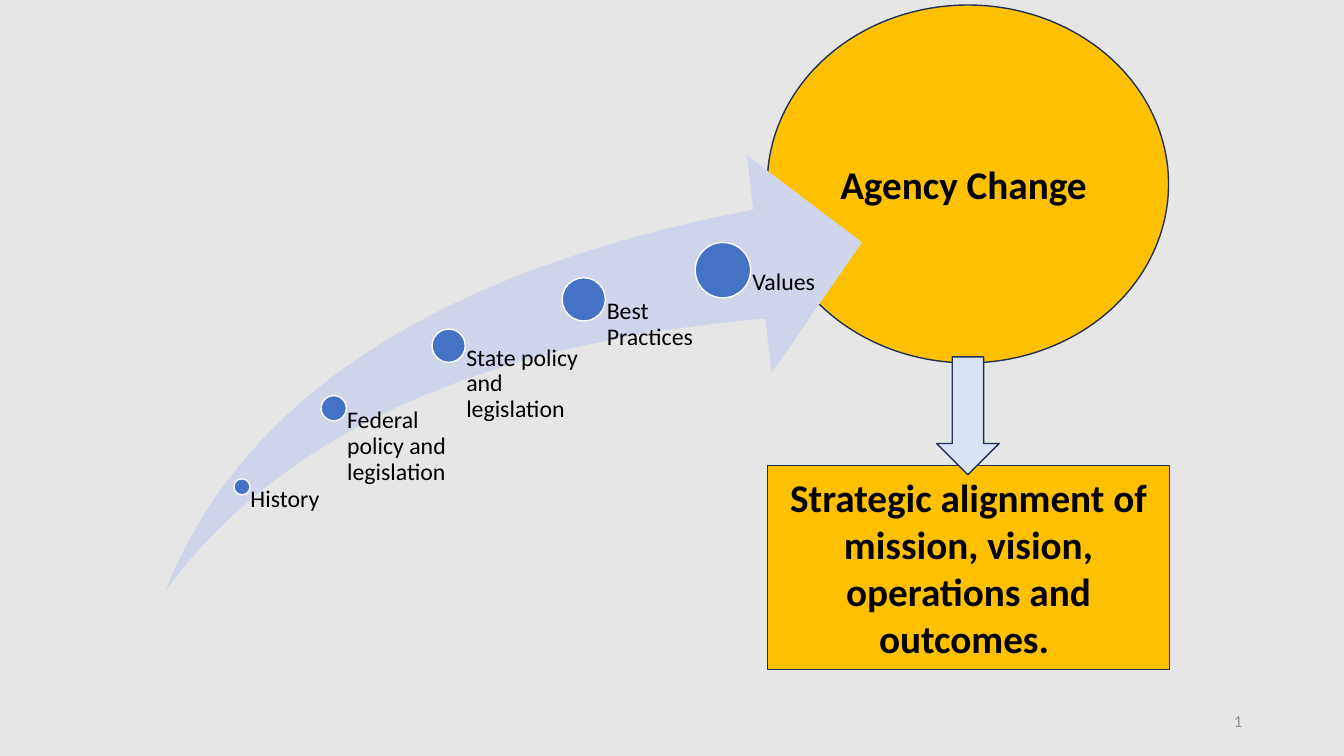
from dataclasses import dataclass

from lxml.etree import SubElement
from pptx import Presentation
from pptx.dml.color import RGBColor
from pptx.enum.shapes import MSO_SHAPE
from pptx.enum.text import MSO_ANCHOR, PP_ALIGN
from pptx.oxml.ns import qn
from pptx.util import Inches, Pt


@dataclass(frozen=True)
class Theme:
    font: str = "Calibri"
    background: str = "E7E6E6"
    accent: str = "FFC000"
    outline: str = "1E3256"
    swoosh: str = "CFD5EA"
    dot: str = "4472C4"
    dot_outline: str = "FFFFFF"
    down_arrow: str = "DAE3F3"
    text: str = "000000"
    muted: str = "8C8C8C"
    heading_size: int = 28
    label_size: int = 17
    number_size: int = 12


class SlideBuilder:
    def __init__(self, slide, theme):
        self.slide = slide
        self.theme = theme
        self.shapes = slide.shapes
        slide.background.fill.solid()
        slide.background.fill.fore_color.rgb = RGBColor.from_string(theme.background)

    def start_group(self):
        """Put the elements that follow into a new group."""
        self.shapes = self.slide.shapes.add_group_shape().shapes

    def end_group(self):
        self.shapes = self.slide.shapes

    def style_font(self, font, size, color, bold=False):
        font.name = self.theme.font
        font.size = Pt(size)
        font.bold = bold
        font.color.rgb = RGBColor.from_string(color)

    def add_shape(self, preset, left, top, width, height, fill, line=None):
        shape = self.shapes.add_shape(
            preset, Inches(left), Inches(top), Inches(width), Inches(height))
        shape.shadow.inherit = False
        shape.fill.solid()
        shape.fill.fore_color.rgb = RGBColor.from_string(fill)
        if line:
            shape.line.color.rgb = RGBColor.from_string(line)
            shape.line.width = Pt(1)
        else:
            shape.line.fill.background()
        return shape

    def add_callout(self, preset, left, top, width, height, text):
        """Add an accent shape with a bold centred statement."""
        shape = self.add_shape(preset, left, top, width, height,
                               self.theme.accent, self.theme.outline)
        frame = shape.text_frame
        frame.word_wrap = True
        frame.vertical_anchor = MSO_ANCHOR.MIDDLE
        frame.text = text
        paragraph = frame.paragraphs[0]
        paragraph.alignment = PP_ALIGN.CENTER
        self.style_font(paragraph.runs[0].font, self.theme.heading_size,
                        self.theme.text, bold=True)

    def add_text_box(self, left, top, width, height):
        box = self.shapes.add_textbox(
            Inches(left), Inches(top), Inches(width), Inches(height))
        box.text_frame.word_wrap = True
        return box.text_frame

    def add_milestone(self, center_x, center_y, diameter, label, label_width, bottom):
        """Add a dot and a label whose box starts at the dot's centre."""
        radius = diameter / 2
        self.add_shape(MSO_SHAPE.OVAL, center_x - radius, center_y - radius,
                       diameter, diameter, self.theme.dot, self.theme.dot_outline)
        frame = self.add_text_box(center_x, center_y, label_width, bottom - center_y)
        frame.margin_left = Inches(0.53 * diameter)
        frame.margin_top = frame.margin_right = frame.margin_bottom = 0
        frame.text = label
        paragraph = frame.paragraphs[0]
        paragraph.line_spacing = 0.9
        self.style_font(paragraph.runs[0].font, self.theme.label_size, self.theme.text)

    def add_slide_number(self, left, top, width, height, number):
        frame = self.add_text_box(left, top, width, height)
        frame.vertical_anchor = MSO_ANCHOR.MIDDLE
        frame.text = str(number)
        paragraph = frame.paragraphs[0]
        paragraph.alignment = PP_ALIGN.RIGHT
        run = paragraph.runs[0]
        self.style_font(run.font, self.theme.number_size, self.theme.muted)
        field = SubElement(paragraph._p, qn("a:fld"), type="slidenum",
                           id="{B6F15528-21DE-4FAA-801E-634DDDAF4B2B}")
        field.extend(list(run._r))
        paragraph._p.remove(run._r)


def main():
    presentation = Presentation()
    presentation.slide_width = Inches(13.33)
    presentation.slide_height = Inches(7.5)
    theme = Theme()
    slide = presentation.slides.add_slide(presentation.slide_layouts[6])
    builder = SlideBuilder(slide, theme)

    builder.add_callout(MSO_SHAPE.OVAL, 7.61, 0.05, 3.98, 3.55, "Agency Change ")

    swoosh_top, swoosh_height = 1.54, 4.32
    builder.start_group()
    swoosh = builder.add_shape(MSO_SHAPE.SWOOSH_ARROW, 1.64, swoosh_top, 6.91,
                               swoosh_height, theme.swoosh)
    swoosh.adjustments[0] = swoosh.adjustments[1] = 0.25
    milestones = [
        (2.4, 4.83, 0.16, "History", 0.9),
        (3.31, 4.05, 0.25, "Federal policy and legislation", 1.15),
        (4.45, 3.43, 0.33, "State policy and legislation", 1.33),
        (5.79, 2.97, 0.43, "Best Practices", 1.38),
        (7.17, 2.68, 0.55, "Values", 1.38),
    ]
    for milestone in milestones:
        builder.add_milestone(*milestone, bottom=swoosh_top + swoosh_height)
    builder.end_group()

    builder.add_slide_number(9.42, 6.95, 3, 0.4, 4)
    builder.add_callout(
        MSO_SHAPE.RECTANGLE, 7.61, 4.62, 3.99, 2.02,
        "Strategic alignment of mission, vision, operations and outcomes. ")
    builder.add_shape(MSO_SHAPE.DOWN_ARROW, 9.29, 3.54, 0.62, 1.17,
                      theme.down_arrow, theme.outline)

    presentation.save("out.pptx")


if __name__ == "__main__":
    main()
